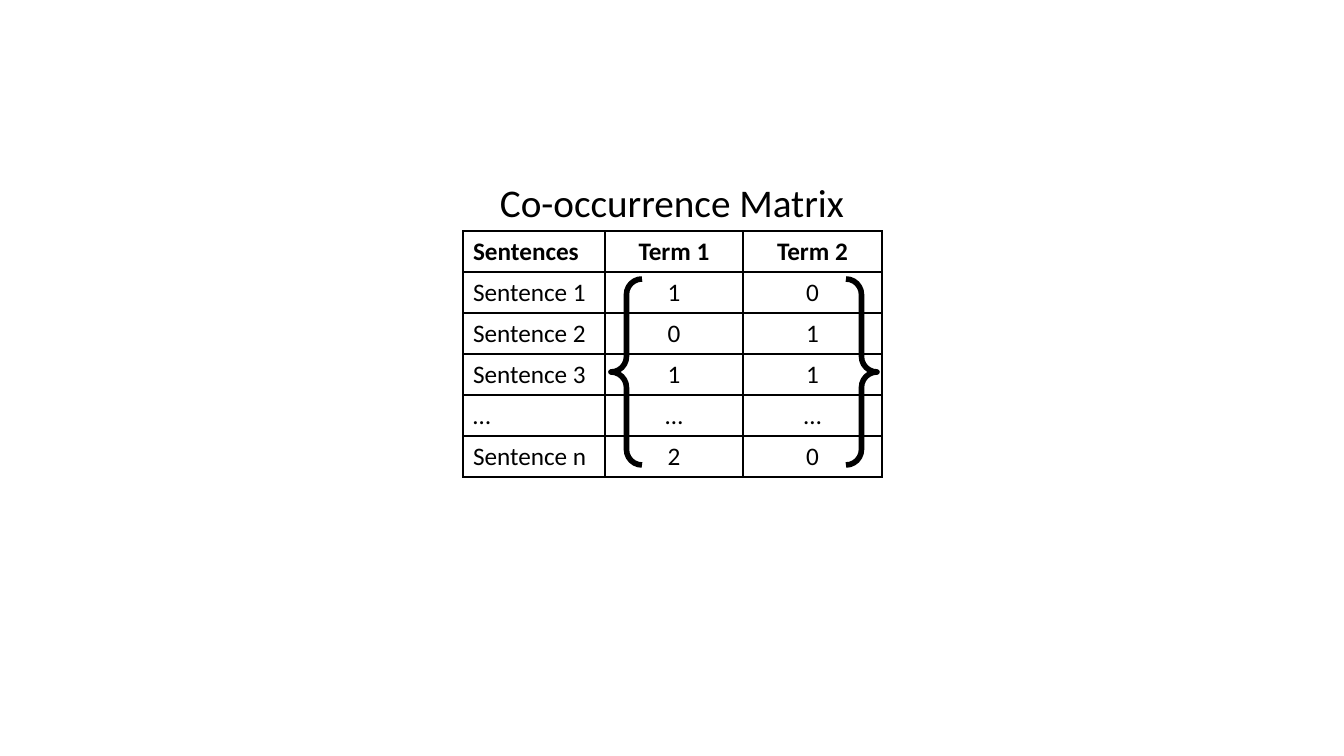
from lxml.etree import SubElement
from pptx import Presentation
from pptx.dml.color import RGBColor
from pptx.enum.shapes import MSO_SHAPE
from pptx.enum.text import MSO_ANCHOR, MSO_AUTO_SIZE, PP_ALIGN
from pptx.oxml import parse_xml
from pptx.oxml.ns import nsdecls
from pptx.util import Pt

BLACK = RGBColor(0, 0, 0)
FONT = "Calibri"
SCALE = 914400 / 100.8

COLS = [142, 138, 139]
ROW = 41
CELLS = [
    ("Sentences", "Term 1", "Term 2"),
    ("Sentence 1", "1", "0"),
    ("Sentence 2", "0", "1"),
    ("Sentence 3", "1", "1"),
    ("…", "…", "…"),
    ("Sentence n", "2", "0"),
]


def px(num):
    return round(num * SCALE)


def box(*nums):
    return [px(num) for num in nums]


def write(frame, text, size=18, bold=False, align=PP_ALIGN.LEFT):
    para = frame.paragraphs[0]
    para.alignment = align
    run = para.add_run()
    run.text = text
    font = run.font
    font.name, font.size, font.bold = FONT, Pt(size), bold
    font.color.rgb = BLACK


def add_title(slide, text):
    title = slide.shapes.title
    title.left, title.top, title.width, title.height = box(488, 173, 368, 58)
    frame = title.text_frame
    frame.word_wrap = False
    frame.auto_size = MSO_AUTO_SIZE.SHAPE_TO_FIT_TEXT
    frame.vertical_anchor = MSO_ANCHOR.TOP
    write(frame, text, size=28, align=PP_ALIGN.CENTER)


def add_edges(cell):
    """Draw a thin line on all four sides of a cell."""
    props = cell._tc.get_or_add_tcPr()
    for spot, side in enumerate("LRTB"):
        edge = parse_xml(f'<a:ln{side} {nsdecls("a")} w="{Pt(1)}"/>')
        fill = SubElement(edge, "{%s}solidFill" % edge.nsmap["a"])
        SubElement(fill, "{%s}srgbClr" % edge.nsmap["a"], val=str(BLACK))
        props.insert(spot, edge)


def add_grid(slide):
    frame = slide.shapes.add_table(
        len(CELLS), len(COLS), *box(463, 231, sum(COLS), ROW * len(CELLS)))
    table = frame.table
    table.first_row = table.horz_banding = False
    for col, width in zip(table.columns, COLS):
        col.width = px(width)
    for r, texts in enumerate(CELLS):
        table.rows[r].height = px(ROW)
        for c, text in enumerate(texts):
            cell = table.cell(r, c)
            cell.fill.background()
            add_edges(cell)
            write(cell.text_frame, text, bold=r == 0,
                  align=PP_ALIGN.CENTER if c else PP_ALIGN.LEFT)


def add_braces(slide):
    pair = slide.shapes.add_shape(
        MSO_SHAPE.DOUBLE_BRACE, *box(611, 279, 266, 186))
    pair.shadow.inherit = False
    pair.fill.background()
    pair.line.color.rgb = BLACK
    pair.line.width = Pt(4)


def main():
    deck = Presentation()
    deck.slide_width, deck.slide_height = box(1344, 756)
    slide = deck.slides.add_slide(deck.slide_layouts.get_by_name("Title Only"))
    add_title(slide, "Co-occurrence Matrix")
    add_grid(slide)
    add_braces(slide)
    deck.save("out.pptx")


if __name__ == "__main__":
    main()
